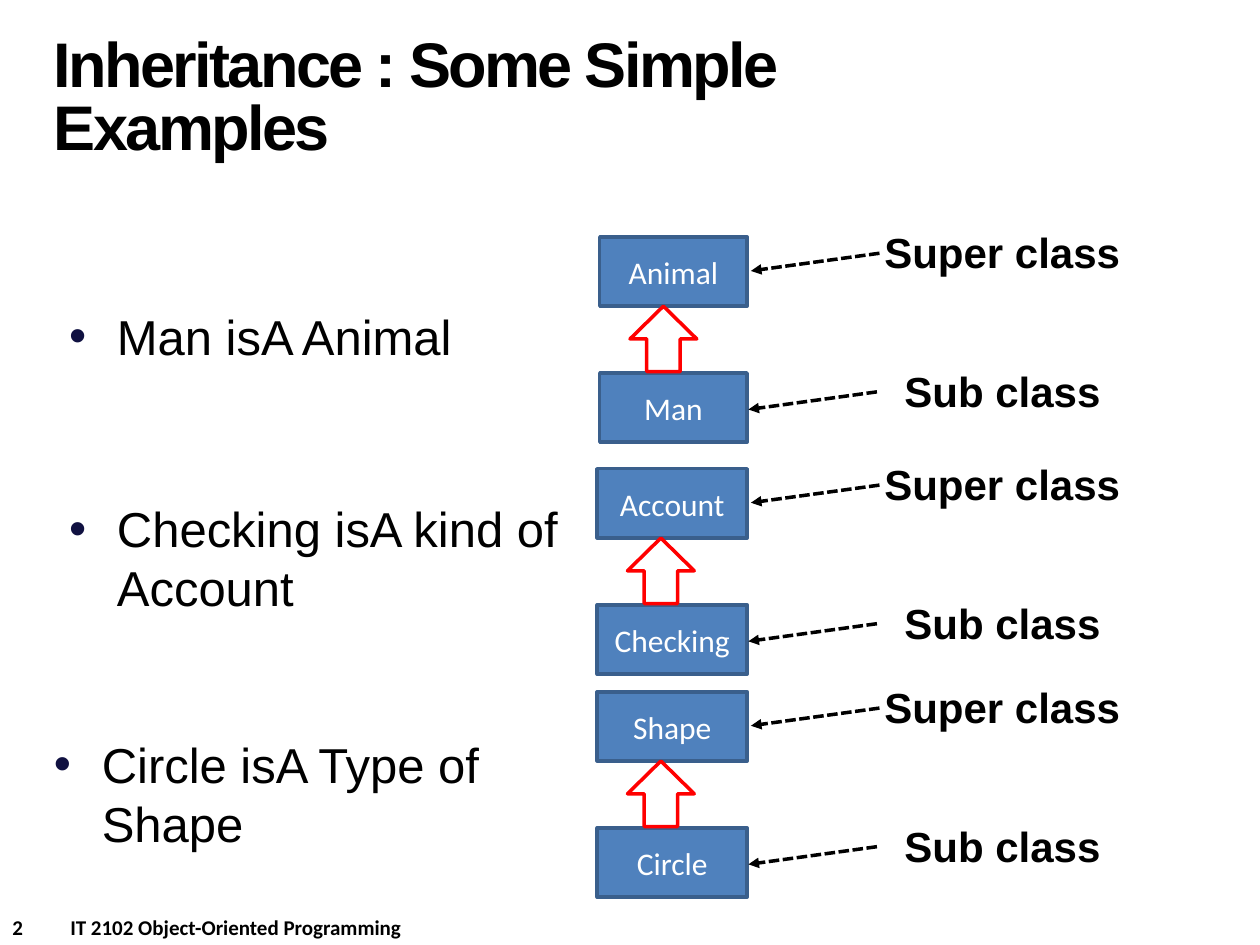
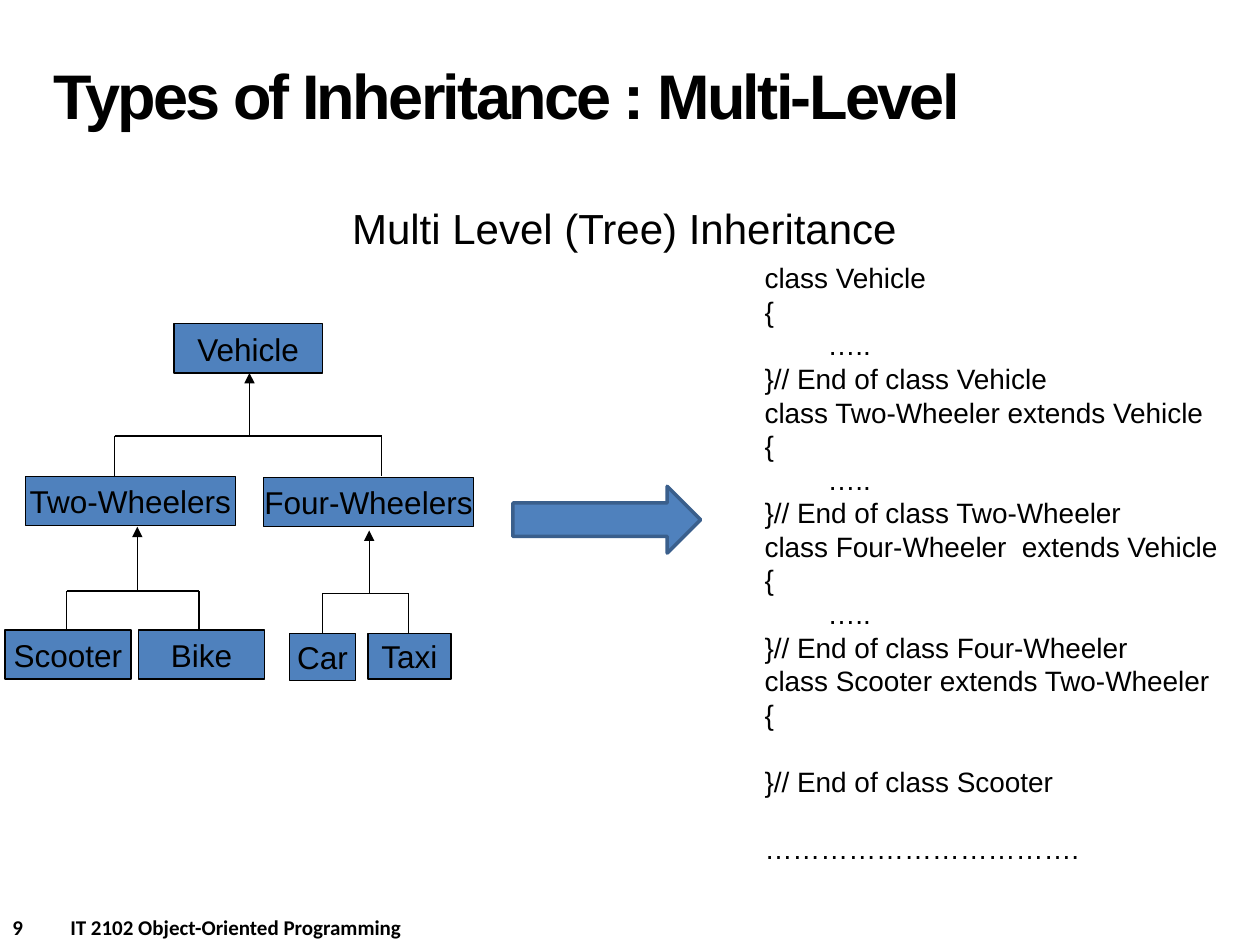
"""Builds two slides on class inheritance, laid out on a grid of 100 columns by 75 rows."""
import pptx
import pptx.util
import pptx.dml.color
import pptx.enum.dml
import pptx.enum.shapes
import pptx.enum.text
import pptx.oxml.ns
import lxml.etree

COLORS = {"text": "000000", "box": "4F81BD", "edge": "3A5F8C",
          "light": "FFFFFF", "bullet": "101141", "arrow": "FF0000"}
COLS, ROWS = 100, 75
COURSE = "IT 2102 Object-Oriented Programming"

EXAMPLES = [
    {"bullet": "Man isA Animal", "at": (4.5, 23.8, 41.9, 6.2),
     "classes": ("Animal", "Man"), "left": 47.6, "width": 11.7, "top": 18.8},
    {"bullet": "Checking isA kind of Account", "at": (4.5, 39.1, 41.9, 9.6),
     "classes": ("Account", "Checking"), "left": 47.4, "width": 11.9, "top": 37.2},
    {"bullet": "Circle isA Type of Shape", "at": (3.3, 57.8, 41.9, 9.6),
     "classes": ("Shape", "Circle"), "left": 47.4, "width": 11.9, "top": 54.9},
]
ROLES = [("Super class", 69.2, 20.9), ("Sub class", 70.8, 17.7)]

NODES = {
    "Vehicle": (13.8, 25.7, 11.8, 3.9),
    "Two-Wheelers": (2, 37.8, 16.7, 3.9),
    "Four-Wheelers": (20.9, 37.9, 16.7, 3.9),
    "Scooter": (0.4, 50, 10, 3.9),
    "Bike": (11, 50, 10, 3.9),
    "Car": (23, 50.3, 5.2, 3.7),
    "Taxi": (29.2, 50.3, 6.6, 3.6),
}
BRANCHES = [
    {"stem": 19.8, "tip": 29.6, "bar": 34.6, "foot": 37.8, "drops": (9.1, 30.3)},
    {"stem": 10.9, "tip": 41.8, "bar": 46.9, "foot": 50, "drops": (5.3, 15.8)},
    {"stem": 29.3, "tip": 42.1, "bar": 47.1, "foot": 50.3, "drops": (25.6, 32.4)},
]
CODE = [
    "class Vehicle", "{", "\t…..", "}// End of class Vehicle",
    "class Two-Wheeler extends Vehicle", "{", "\t…..", "}// End of class Two-Wheeler",
    "class Four-Wheeler  extends Vehicle", "{", "\t…..", "}// End of class Four-Wheeler",
    "class Scooter extends Two-Wheeler", "{", "}// End of class Scooter",
    "…" * 11 + ".",
]
SPACED = ("}// End of class Scooter", CODE[-1])

Pt = pptx.util.Pt
SHAPE = pptx.enum.shapes.MSO_SHAPE
ALIGN = pptx.enum.text.PP_ALIGN
MIDDLE = pptx.enum.text.MSO_ANCHOR.MIDDLE

prs = pptx.Presentation()
prs.slide_width = pptx.util.Inches(10)
prs.slide_height = pptx.util.Inches(7.5)


def col(n):
    return round(prs.slide_width * n / COLS)


def row(n):
    return round(prs.slide_height * n / ROWS)


def place(at):
    return col(at[0]), row(at[1]), col(at[2]), row(at[3])


def rgb(name):
    return pptx.dml.color.RGBColor.from_string(COLORS[name])


def child(parent, tag, **attrs):
    return lxml.etree.SubElement(parent, pptx.oxml.ns.qn(tag), **attrs)


def add_run(p, text, size, font="Arial", color="text", bold=False):
    r = p.add_run()
    r.text = text
    r.font.size, r.font.name, r.font.bold = Pt(size), font, bold
    r.font.color.rgb = rgb(color)
    return r


def add_text(s, at, text, size, wrap=True, align=ALIGN.LEFT, **style):
    tf = s.shapes.add_textbox(*place(at)).text_frame
    tf.word_wrap = wrap
    p = tf.paragraphs[0]
    p.alignment = align
    return tf, p, add_run(p, text, size, **style)


def add_shape(s, kind, at, fill, edge, weight):
    sp = s.shapes.add_shape(kind, *place(at))
    sp.shadow.inherit = False
    if fill:
        sp.fill.solid()
        sp.fill.fore_color.rgb = rgb(fill)
    else:
        sp.fill.background()
    sp.line.color.rgb = rgb(edge)
    sp.line.width = Pt(weight)
    return sp


def add_box(s, at, text, edge, weight, wrap=True, **style):
    sp = add_shape(s, SHAPE.RECTANGLE, at, "box", edge, weight)
    tf = sp.text_frame
    tf.word_wrap, tf.vertical_anchor = wrap, MIDDLE
    p = tf.paragraphs[0]
    p.alignment = ALIGN.CENTER
    add_run(p, text, 18, **style)


def add_line(s, x1, y1, x2, y2, weight=0.75, dashed=False, head=False):
    c = s.shapes.add_connector(pptx.enum.shapes.MSO_CONNECTOR.STRAIGHT,
                               col(x1), row(y1), col(x2), row(y2))
    c.line.color.rgb = rgb("text")
    c.line.width = Pt(weight)
    if dashed:
        c.line.dash_style = pptx.enum.dml.MSO_LINE.SQUARE_DOT
    if head:
        child(c.line._get_or_add_ln(), "a:tailEnd", type="triangle")
    child(c._element.spPr, "a:effectLst")


def add_bullet(s, at, text):
    tf, p, r = add_text(s, at, text, 28)
    p.space_before = Pt(5.6)
    pPr = p._p.get_or_add_pPr()
    indent = col(3.8)
    pPr.set("marL", str(indent))
    pPr.set("indent", str(-indent))
    child(child(pPr, "a:buClr"), "a:srgbClr", val=COLORS["bullet"])
    child(pPr, "a:buFont", typeface="Arial")
    child(pPr, "a:buChar", char="•")


def new_slide(number, title, title_width):
    s = prs.slides.add_slide(prs.slide_layouts[6])
    tf, p, r = add_text(s, (0, 72.1, 50, 3), f"{number}\t{COURSE}", 12,
                        font="Calibri", bold=True)
    tabs = child(p._p.get_or_add_pPr(), "a:tabLst")
    child(tabs, "a:tab", pos=str(col(4.6)), algn="l")
    tf, p, r = add_text(s, (3.3, 1.7, title_width, 12.5), title, 36, bold=True)
    tf.vertical_anchor = MIDDLE
    p.line_spacing = Pt(36)
    r._r.get_or_add_rPr().set("spc", "-150")
    return s


def build_examples():
    s = new_slide(2, "Inheritance : Some Simple Examples", 69.2)
    for ex in EXAMPLES:
        left, top = ex["left"], ex["top"]
        add_bullet(s, ex["at"], ex["bullet"])
        for i, (name, role) in enumerate(zip(ex["classes"], ROLES)):
            label, x, width = role
            add_box(s, (left, top + 10.8 * i, ex["width"], 5.5), name, "edge", 2,
                    font="Calibri", color="light")
            y, shift = top + 11 * i, 0.2 * i
            add_line(s, 69.8 - shift, y + 1.3, 59.6 - shift, y + 2.7, 2, True, True)
            add_text(s, (x, y - 1.3, width, 5), label, 24, wrap=False, bold=True)
        sp = add_shape(s, SHAPE.DOWN_ARROW, (left + 2.4, top + 5.5, 5.3, 5.2),
                       None, "arrow", 2)
        sp.rotation = 180


def build_tree():
    s = new_slide(9, "Types of Inheritance : Multi-Level", 93.1)
    add_text(s, (1.1, 15.6, 96.9, 5), "Multi Level (Tree) Inheritance", 24,
             align=ALIGN.CENTER)
    add_shape(s, SHAPE.RIGHT_ARROW, (40.7, 38.6, 14.9, 5.3), "box", "edge", 2)
    tf, p, r = add_text(s, (59.7, 20.2, 40.3, 49.5), CODE[0], 16)
    for line in CODE[1:]:
        p = tf.add_paragraph()
        if line in SPACED:
            p.space_before = Pt(19.2)
        add_run(p, line, 16)
    for name, at in NODES.items():
        add_box(s, at, name, "text", 0.75, wrap=False)
    for b in BRANCHES:
        add_line(s, b["stem"], b["bar"], b["stem"], b["tip"], head=True)
        add_line(s, b["drops"][0], b["bar"], b["drops"][1], b["bar"], 1)
        for x in b["drops"]:
            add_line(s, x, b["bar"], x, b["foot"])


build_examples()
build_tree()
prs.save("out.pptx")
